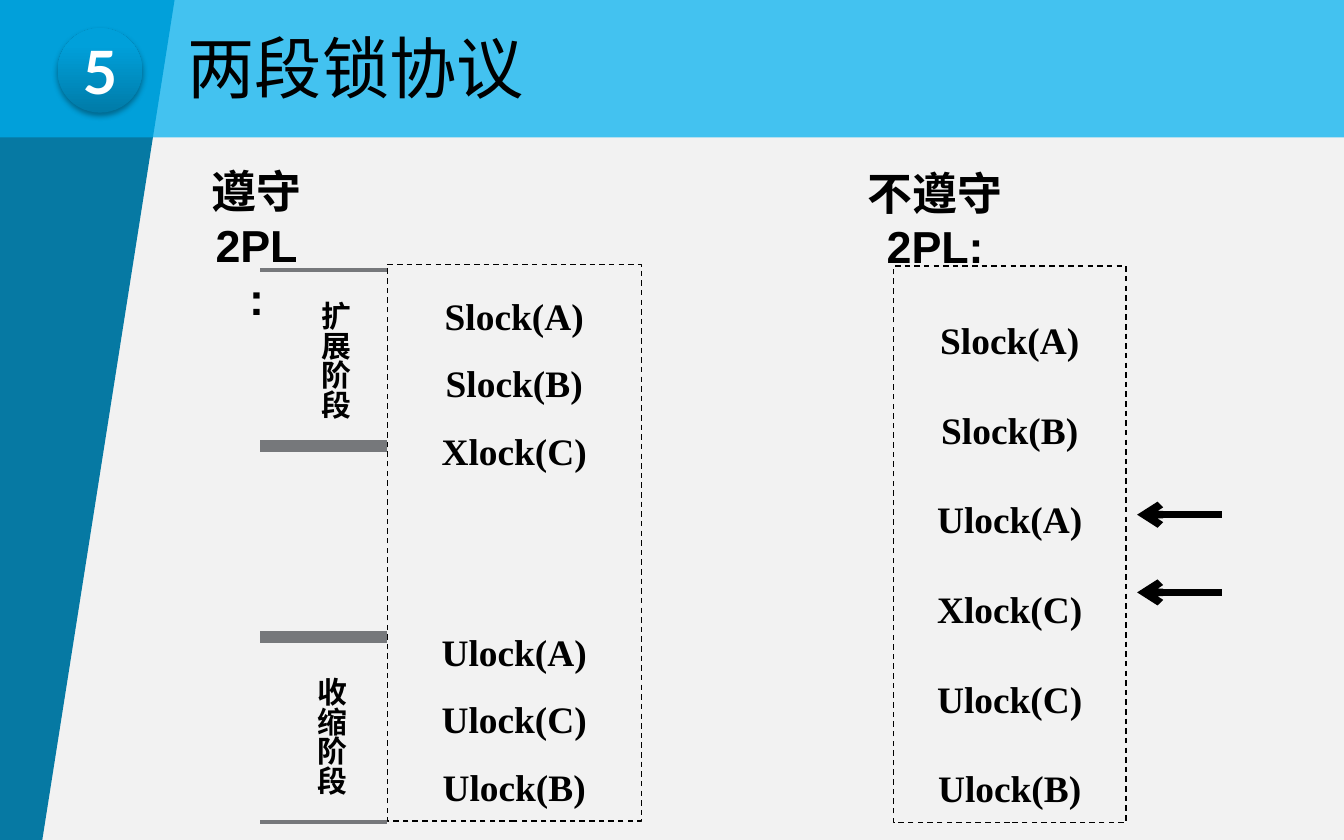
import pptx
import pptx.util
import pptx.dml.color
import pptx.enum.dml
import pptx.enum.shapes
import pptx.enum.text
import pptx.oxml
import pptx.oxml.ns
import lxml.etree

Cm, Pt = pptx.util.Cm, pptx.util.Pt
RGBColor = pptx.dml.color.RGBColor
Kind = pptx.enum.shapes.MSO_SHAPE
Align = pptx.enum.text.PP_ALIGN
Anchor = pptx.enum.text.MSO_ANCHOR

BLACK = RGBColor(0x00, 0x00, 0x00)
WHITE = RGBColor(0xFF, 0xFF, 0xFF)
PALE = RGBColor(0xF2, 0xF2, 0xF2)
TEAL = RGBColor(0x06, 0x79, 0xA3)
SKY = RGBColor(0x00, 0xB0, 0xF0)
DEEP = RGBColor(0x00, 0x7B, 0xA8)
BRIGHT = RGBColor(0x00, 0xA0, 0xDA)
GRAY = RGBColor(0x76, 0x78, 0x7B)

WIDE, HIGH = 25.4, 15.88
SERIF = "Times New Roman"


def add_sub(parent, tag, **attrs):
    node = lxml.etree.SubElement(parent, pptx.oxml.ns.qn(tag))
    for key, value in attrs.items():
        node.set(key, str(value))
    return node


def style(para, face, size, color=BLACK, bold=True, align=Align.CENTER):
    para.alignment = align
    font = para.font
    font.name, font.size, font.bold = face, Pt(size), bold
    font.color.rgb = color


def add_shape(slide, kind, box):
    shape = slide.shapes.add_shape(kind, *map(Cm, box))
    shape.shadow.inherit = False
    return shape


def add_text(slide, box, text, *look, **more):
    frame = slide.shapes.add_textbox(*map(Cm, box)).text_frame
    frame.word_wrap = False
    frame.text = text
    style(frame.paragraphs[0], *look, **more)
    return frame


def add_line(slide, start, end, color, width, arrow=False):
    link = slide.shapes.add_connector(
        pptx.enum.shapes.MSO_CONNECTOR.STRAIGHT, *map(Cm, start + end))
    link.line.color.rgb = color
    link.line.width = Pt(width)
    if arrow:
        add_sub(link.line._get_or_add_ln(), "a:tailEnd", type="arrow")
    add_sub(link._element.spPr, "a:effectLst")


def add_steps(slide, box, groups, spacing, gap=0):
    """Dashed frame with one paragraph for each group of lock steps."""
    frame = add_shape(slide, Kind.RECTANGLE, box)
    frame.fill.background()
    frame.line.color.rgb = BLACK
    frame.line.width = Pt(0.75)
    frame.line.dash_style = pptx.enum.dml.MSO_LINE.DASH
    body = frame.text_frame
    body.word_wrap = True
    body.vertical_anchor = Anchor.TOP
    for i, steps in enumerate(groups):
        para = body.add_paragraph() if i else body.paragraphs[0]
        para.text = "\v".join(steps)
        para.line_spacing = spacing
        if i:
            para.space_before = Pt(gap)
        style(para, SERIF, 20)


def add_side(slide, box):
    """Slanted strip down the left edge."""
    left, top, width, height = box
    pen = slide.shapes.build_freeform(Cm(left), Cm(top))
    pen.add_line_segments([(Cm(left + width), Cm(top)),
                           (Cm(left + 0.8), Cm(top + height)),
                           (Cm(left), Cm(top + height))])
    strip = pen.convert_to_shape()
    strip.shadow.inherit = False
    strip.fill.solid()
    strip.fill.fore_color.rgb = TEAL
    strip.line.fill.background()


def add_head(slide, box, number, title):
    """Translucent band with the title and a numbered disc."""
    left, top, width, height = box
    band = add_shape(slide, Kind.RECTANGLE, box)
    band.fill.solid()
    band.fill.fore_color.rgb = SKY
    band.line.fill.background()
    tint = band._element.spPr.find(".//" + pptx.oxml.ns.qn("a:srgbClr"))
    add_sub(tint, "a:alpha", val=72000)

    frame = add_text(slide, (left + 3.3, top, 7.01, 2.54), title,
                     "Arial", 36, bold=False, align=Align.LEFT)
    frame.vertical_anchor = Anchor.MIDDLE

    # Disc with gradient and soft shadow
    disc = add_shape(slide, Kind.OVAL, (left + 1.09, top + 0.53, 1.6, 1.6))
    disc.line.fill.background()
    disc.fill.gradient()
    disc.fill.gradient_angle = 90
    for stop, color, place in zip(disc.fill.gradient_stops,
                                  (DEEP, BRIGHT), (0, 0.8)):
        stop.color.rgb = color
        stop.position = place
    effects = disc._element.spPr.find(pptx.oxml.ns.qn("a:effectLst"))
    shade = add_sub(effects, "a:outerShdw", blurRad=Pt(3.1), dist=Pt(1.8),
                    dir=5400000, rotWithShape=0)
    add_sub(add_sub(shade, "a:srgbClr", val=BLACK), "a:alpha", val=35000)
    body = disc.text_frame
    body.margin_left = body.margin_right = 0
    body.margin_top = body.margin_bottom = 0
    body.vertical_anchor = Anchor.MIDDLE
    body.text = number
    style(body.paragraphs[0], "Lato", 32, WHITE)


def add_good(slide, box):
    """Schedule that obeys 2PL, with its two phases marked."""
    left, top, width, height = box
    add_text(slide, (left + 0.1, top, 2.3, 2.5), "遵守\v2PL:", "Arial", 24)
    edge, roof = left + 3.72, top + 2.03
    add_steps(slide, (edge, roof, 4.8, 10.52),
              [("Slock(A)", "Slock(B)", "Xlock(C)"),
               ("Ulock(A)", "Ulock(C)", "Ulock(B)")], 1.5, 72)
    for drop, weight in ((0.11, 2.25), (3.43, 6.5), (7.04, 6.5), (10.54, 2.25)):
        add_line(slide, (edge - 2.4, roof + drop), (edge, roof + drop),
                 GRAY, weight)
    for drop, shift, label in ((0.44, 1.71, "扩展阶段"), (7.55, 1.78, "收缩阶段")):
        frame = add_text(slide, (edge - shift, roof + drop, 1.19, 2.49),
                         label, SERIF, 16)
        frame._txBody.bodyPr.set("vert", "eaVert")


def add_bad(slide, box):
    """Schedule that breaks 2PL, with arrows at the faulty steps."""
    left, top, width, height = box
    add_text(slide, (left + 0.05, top, 3.05, 2.5), "不遵守\v2PL:", "Arial", 24)
    add_steps(slide, (left + 0.79, top + 2.03, 4.39, 10.52),
              [("Slock(A)", "Slock(B)", "Ulock(A)",
                "Xlock(C)", "Ulock(C)", "Ulock(B)")], 2.0)
    for drop in (6.73, 8.2):
        add_line(slide, (left + width, top + drop),
                 (left + width - 1.6, top + drop), BLACK, 4, arrow=True)


def main():
    deck = pptx.Presentation()
    deck.slide_width, deck.slide_height = Cm(WIDE), Cm(HIGH)
    slide = deck.slides.add_slide(deck.slide_layouts[6])
    slide.background.fill.solid()
    slide.background.fill.fore_color.rgb = PALE

    add_side(slide, (0, 0, 3.3, HIGH))
    add_head(slide, (0, 0, WIDE, 2.6), "5", "两段锁协议")
    add_good(slide, (3.6, 2.97, 8.52, 12.55))
    add_bad(slide, (16.1, 3, 6.99, 12.55))
    deck.save("out.pptx")


if __name__ == "__main__":
    main()
